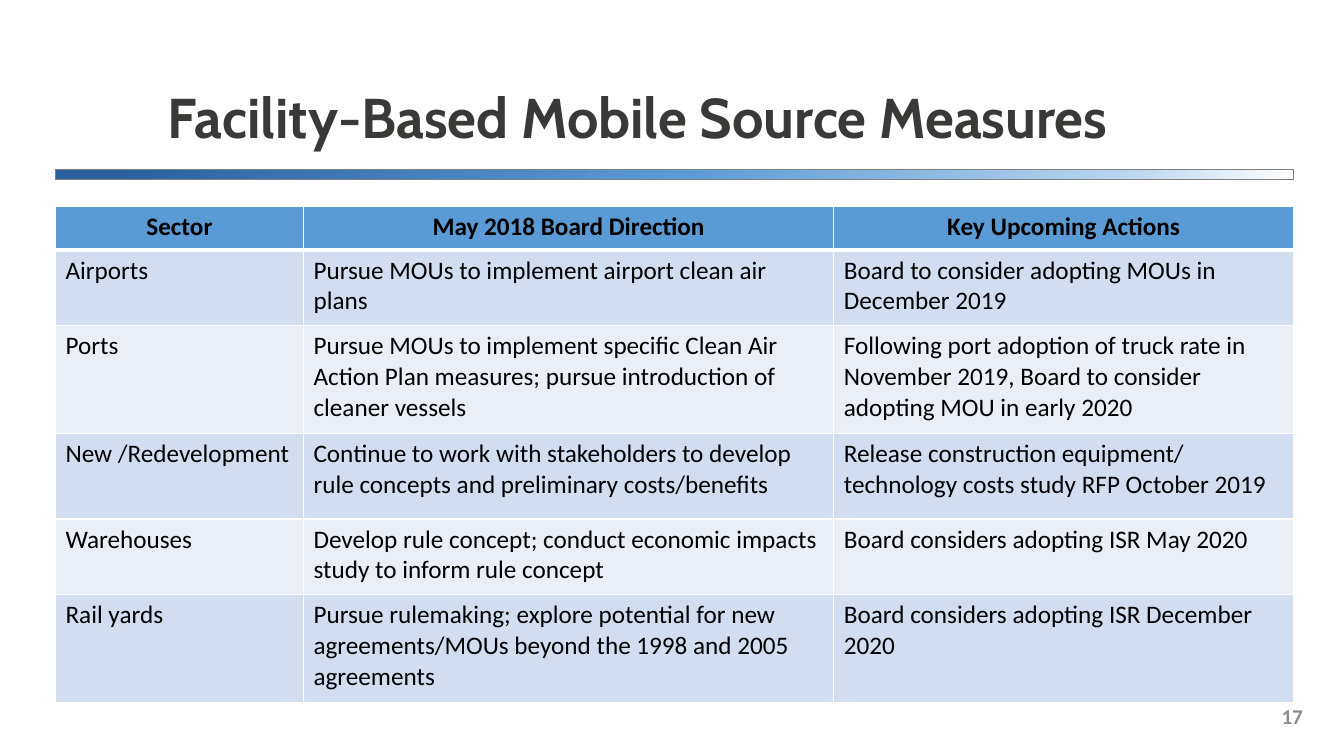
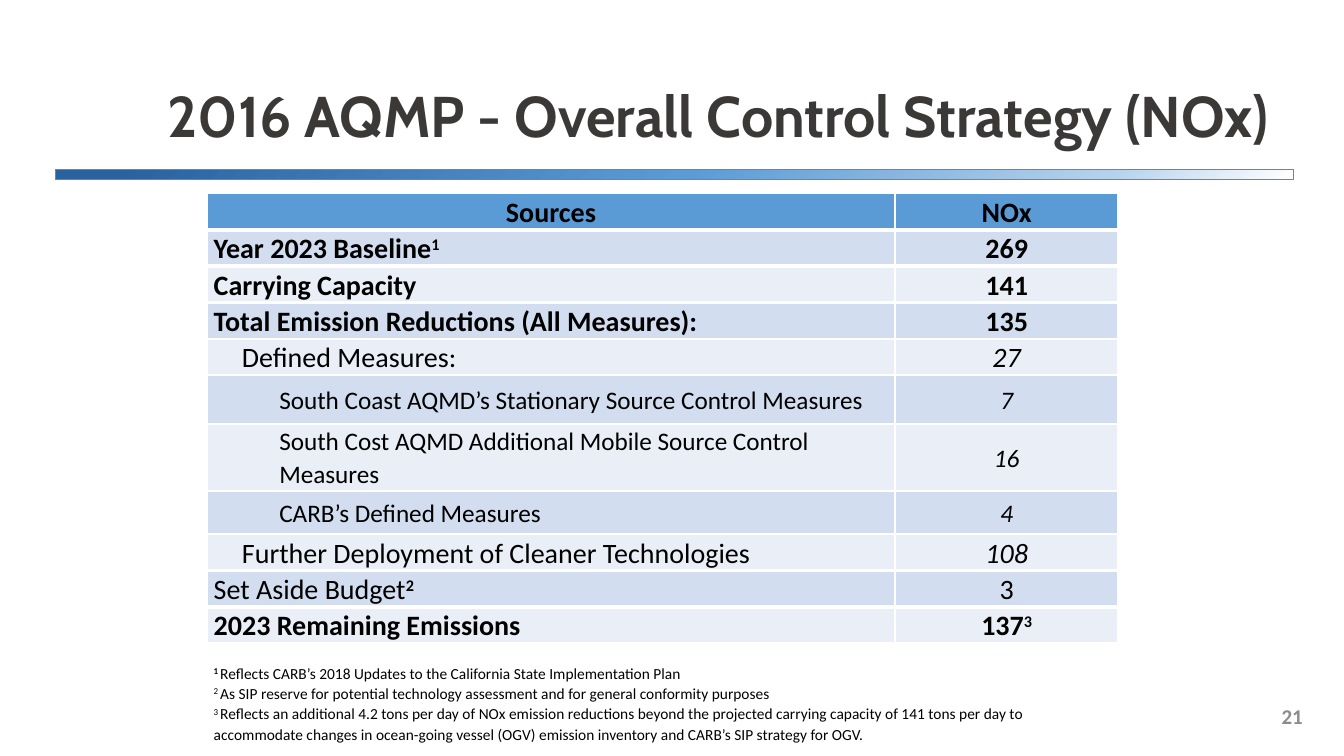
import pptx
import pptx.util
import pptx.dml.color
import pptx.enum.shapes
import pptx.enum.text
import pptx.oxml
import pptx.oxml.ns
from lxml import etree

Inches, Pt = pptx.util.Inches, pptx.util.Pt
ALIGN, ANCHOR = pptx.enum.text.PP_ALIGN, pptx.enum.text.MSO_ANCHOR
rgb = pptx.dml.color.RGBColor.from_string
NS = pptx.oxml.ns.nsdecls("a")

# Shared colours and text formats
BLACK, WHITE, HEADER, GRAY = "000000", "FFFFFF", "5B9BD5", "808080"
BANDS = ["D2DEEF", "EAEFF7"]
TITLE_FORMAT = {"name": "Cabin", "bold": True}
BODY_FORMAT = {"name": "Calibri", "size": Pt(18), "bold": False}
NUMBER_FORMAT = {"name": "Calibri", "size": Pt(15), "bold": True}

BAR_GRADIENT = f"""<a:gradFill {NS} rotWithShape="1"><a:gsLst>
<a:gs pos="0"><a:srgbClr val="FFFFFF"/></a:gs>
<a:gs pos="15000"><a:srgbClr val="B5D2EC"/></a:gs>
<a:gs pos="49000"><a:srgbClr val="5B9BD5"/></a:gs>
<a:gs pos="95000"><a:srgbClr val="2A62A0"/></a:gs></a:gsLst>
<a:path path="circle"><a:fillToRect l="100000" t="100000"/></a:path></a:gradFill>"""
TITLE_SHADOW = f"""<a:effectLst {NS}>
<a:outerShdw blurRad="38100" dist="38100" dir="2700000" algn="tl">
<a:srgbClr val="000000"><a:alpha val="43000"/></a:srgbClr></a:outerShdw></a:effectLst>"""


def add_run(paragraph, text, color, font_format, raised=False):
    run = paragraph.add_run()
    run.text = text
    for name, value in font_format.items():
        setattr(run.font, name, value)
    run.font.color.rgb = rgb(color)
    if raised:
        run._r.get_or_add_rPr().set("baseline", "30000")
    return run


def style_cell(cell, fill, side, top, bottom):
    if fill:
        cell.fill.solid()
        cell.fill.fore_color.rgb = rgb(fill)
    else:
        cell.fill.background()
    edges = [("lnL", side), ("lnR", side), ("lnT", top), ("lnB", bottom)]
    for position, (edge, width) in enumerate(edges):
        cell._tc.get_or_add_tcPr().insert(position, pptx.oxml.parse_xml(
            f'<a:{edge} {NS} w="{Pt(width)}"><a:solidFill>'
            f'<a:srgbClr val="{WHITE}"/></a:solidFill></a:{edge}>'))


deck = pptx.Presentation()
deck.slide_width, deck.slide_height = Inches(13.33), Inches(7.5)

# Title, gradient bar and page number of every slide
pages = [
    ("Facility-Based Mobile Source Measures", 40, "17"),
    ("2016 AQMP - Overall Control Strategy (NOx)", 41, "21"),
]
for title, title_size, number in pages:
    slide = deck.slides.add_slide(deck.slide_layouts[6])

    page_number = slide.shapes.add_textbox(Inches(10.02), Inches(6.9), Inches(3), Inches(0.4))
    page_number.text_frame.word_wrap = True
    page_number.text_frame.vertical_anchor = ANCHOR.MIDDLE
    paragraph = page_number.text_frame.paragraphs[0]
    paragraph.alignment = ALIGN.RIGHT
    add_run(paragraph, number, "8C8C8C", NUMBER_FORMAT)

    bar = slide.shapes.add_shape(pptx.enum.shapes.MSO_SHAPE.RECTANGLE,
                                 Inches(0.55), Inches(1.68), Inches(12.28), Inches(0.1))
    bar.shadow.inherit = False
    bar.line.color.rgb = rgb(GRAY)
    bar.line.width = Pt(1)
    bar._element.spPr.find(pptx.oxml.ns.qn("a:prstGeom")).addnext(
        pptx.oxml.parse_xml(BAR_GRADIENT))

    heading = slide.shapes.add_textbox(Inches(1.56), Inches(0.69), Inches(11.57), Inches(0.85))
    heading.text_frame.word_wrap = True
    heading.text_frame.vertical_anchor = ANCHOR.BOTTOM
    paragraph = heading.text_frame.paragraphs[0]
    paragraph.line_spacing = 0.9
    run = add_run(paragraph, title, "3B3838", {**TITLE_FORMAT, "size": Pt(title_size)})
    run._r.rPr.find(pptx.oxml.ns.qn("a:solidFill")).addnext(pptx.oxml.parse_xml(TITLE_SHADOW))

facility_slide, strategy_slide = deck.slides

# Facility measures by sector
sectors = [
    (0.43, "Sector", "May 2018 Board Direction", "Key Upcoming Actions"),
    (0.75, "Airports", "Pursue MOUs to implement airport clean air plans",
     "Board to consider adopting MOUs in December 2019"),
    (1.07, "Ports", "Pursue MOUs to implement specific Clean Air Action Plan measures; "
     "pursue introduction of cleaner vessels",
     "Following port adoption of truck rate in November 2019, Board to consider "
     "adopting MOU in early 2020"),
    (0.85, "New /Redevelopment", "Continue to work with stakeholders to develop rule "
     "concepts and preliminary costs/benefits",
     "Release construction equipment/ technology costs study RFP October 2019"),
    (0.75, "Warehouses", "Develop rule concept; conduct economic impacts study to "
     "inform rule concept", "Board considers adopting ISR May 2020"),
    (1.07, "Rail yards", "Pursue rulemaking; explore potential for new agreements/MOUs "
     "beyond the 1998 and 2005 agreements", "Board considers adopting ISR December 2020"),
]
sector_table = facility_slide.shapes.add_table(
    len(sectors), 3, Inches(0.55), Inches(2.05), Inches(12.28), Inches(4.92)).table
for column, width in zip(sector_table.columns, [2.46, 5.26, 4.56]):
    column.width = Inches(width)
for row, (height, *texts) in enumerate(sectors):
    sector_table.rows[row].height = Inches(height)
    for column, text in enumerate(texts):
        cell = sector_table.cell(row, column)
        fill = BANDS[(row - 1) % 2] if row else HEADER
        style_cell(cell, fill, 1, 3 if row == 1 else 1, 1 if row else 3)
        paragraph = cell.text_frame.paragraphs[0]
        paragraph.alignment = ALIGN.LEFT if row else ALIGN.CENTER
        add_run(paragraph, text, BLACK, {**BODY_FORMAT, "bold": row == 0})

# NOx by source: height, source, value, indent, size, bold, italic value; ^ raises a mark
sources = [
    (0.36, "Sources", "NOx", 0, 20, True, False),
    (0.36, "Year 2023 Baseline^1", "269", 0, 20, True, False),
    (0.36, "Carrying Capacity", "141", 0, 20, True, False),
    (0.36, "Total Emission Reductions (All Measures):", "135", 0, 20, True, False),
    (0.36, "Defined Measures:", "27", 0.28, 20, False, True),
    (0.49, "South Coast AQMD’s Stationary Source Control Measures", "7", 0.65, 18, False, True),
    (0.66, "South Cost AQMD Additional Mobile Source Control Measures", "16",
     0.65, 18, False, True),
    (0.43, "CARB’s Defined Measures", "4", 0.65, 18, False, True),
    (0.36, "Further Deployment of Cleaner Technologies", "108", 0.28, 20, False, True),
    (0.36, "Set Aside Budget^2", "3", 0, 20, False, False),
    (0.36, "2023 Remaining Emissions", "137^3", 0, 20, True, False),
]
footnotes = [
    "Reflects CARB’s 2018 Updates to the California State Implementation Plan",
    "As SIP reserve for potential technology assessment and for general conformity purposes",
    "Reflects an additional 4.2 tons per day of NOx emission reductions beyond the projected "
    "carrying capacity of 141 tons per day to accommodate changes in ocean-going vessel (OGV) "
    "emission inventory and CARB’s SIP strategy for OGV.",
]
thick_below = {0, 1, 2, 8, 9}
note_row = len(sources)
source_table = strategy_slide.shapes.add_table(
    note_row + 1, 2, Inches(2.05), Inches(1.92), Inches(9.04), Inches(5.48)).table
source_table.columns[0].width, source_table.columns[1].width = Inches(6.83), Inches(2.21)
for row, (height, source, value, indent, size, bold, italic) in enumerate(sources):
    source_table.rows[row].height = Inches(height)
    for column, text in enumerate([source, value]):
        cell = source_table.cell(row, column)
        style_cell(cell, BANDS[(row - 1) % 2] if row else HEADER, 1.5,
                   3 if row - 1 in thick_below else 1.5, 3 if row in thick_below else 1.5)
        cell.margin_left = cell.margin_right = Inches(0.07)
        cell.margin_top = cell.margin_bottom = 0
        cell.vertical_anchor = ANCHOR.MIDDLE
        paragraph = cell.text_frame.paragraphs[0]
        paragraph.line_spacing = 1.07
        if column or row == 0:
            paragraph.alignment = ALIGN.CENTER
        elif indent:
            paragraph._p.get_or_add_pPr().set("marL", str(Inches(indent)))
        words, _, mark = text.partition("^")
        source_format = {**BODY_FORMAT, "size": Pt(size), "bold": bold,
                         "italic": italic and column == 1}
        add_run(paragraph, words, BLACK, source_format)
        if mark:
            add_run(paragraph, mark, BLACK, {**source_format, "bold": True}, raised=True)

# Footnotes in the merged last row
source_table.rows[note_row].height = Inches(1.02)
notes = source_table.cell(note_row, 0)
notes.merge(source_table.cell(note_row, 1))
for cell in (notes, source_table.cell(note_row, 1)):
    style_cell(cell, None, 1.5, 1.5, 1.5)
notes.margin_left = notes.margin_right = Inches(0.07)
notes.margin_top, notes.margin_bottom = Inches(0.2), 0
note_format = {**BODY_FORMAT, "size": Pt(11)}
for index, note in enumerate(footnotes):
    frame = notes.text_frame
    paragraph = frame.add_paragraph() if index else frame.paragraphs[0]
    paragraph.line_spacing = 1.07
    add_run(paragraph, f"{index + 1} ", BLACK, {**note_format, "bold": index == 0}, raised=True)
    add_run(paragraph, note, BLACK, note_format)

deck.save("out.pptx")
